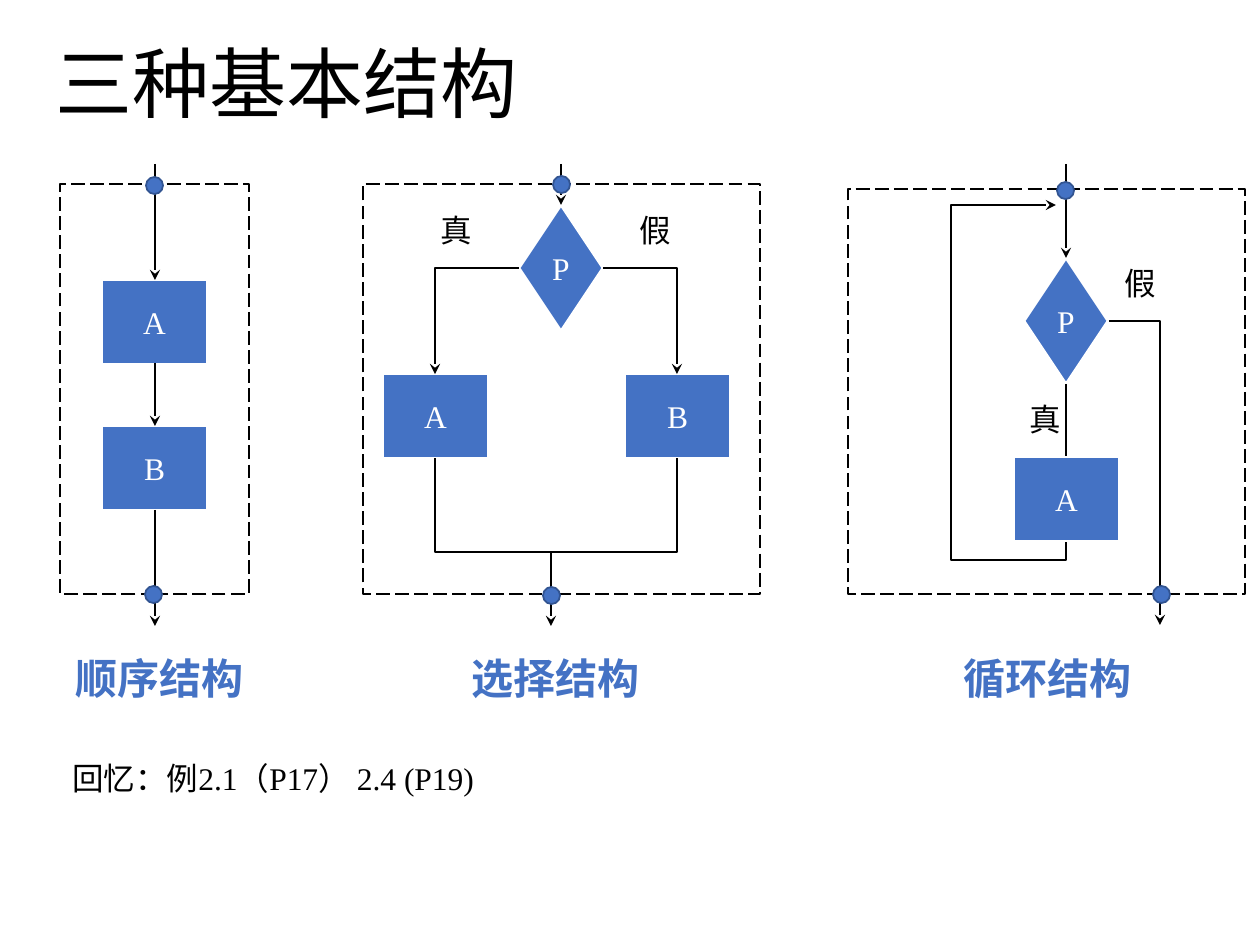
import pptx
import pptx.dml.color
import pptx.enum.dml
import pptx.enum.shapes
import pptx.enum.text
import pptx.oxml
import pptx.oxml.ns
import pptx.util

EMU_PER_PIXEL = 914400 / 126
BLACK = pptx.dml.color.RGBColor(0x00, 0x00, 0x00)
WHITE = pptx.dml.color.RGBColor(0xFF, 0xFF, 0xFF)
BLUE = pptx.dml.color.RGBColor(0x44, 0x72, 0xC4)
DARK_BLUE = pptx.dml.color.RGBColor(0x32, 0x54, 0x91)
SERIF = "Times New Roman"

SHAPES = pptx.enum.shapes.MSO_SHAPE
ALIGN = pptx.enum.text.PP_ALIGN
ANCHOR = pptx.enum.text.MSO_ANCHOR
AUTO_SIZE = pptx.enum.text.MSO_AUTO_SIZE


def emu(pixels):
    return pptx.util.Emu(round(pixels * EMU_PER_PIXEL))


def write(shape, text, size, font, color, bold=False, align=ALIGN.CENTER):
    paragraph = shape.text_frame.paragraphs[0]
    paragraph.alignment = align
    run = paragraph.add_run()
    run.text = text
    run.font.size = pptx.util.Pt(size)
    run.font.name = font
    run.font.bold = bold
    run.font.color.rgb = color
    return paragraph


def set_line(shape, color, width=1, arrow=False):
    shape.line.color.rgb = color
    shape.line.width = pptx.util.Pt(width)
    if arrow:
        tail = pptx.oxml.parse_xml(
            '<a:tailEnd %s type="stealth"/>' % pptx.oxml.ns.nsdecls("a"))
        shape.line._get_or_add_ln().append(tail)


class Region:
    """Places parts relative to the top left corner of a box."""

    def __init__(self, slide, left, top):
        self.shapes = slide.shapes
        self.left = left
        self.top = top

    def point(self, x, y):
        return emu(self.left + x), emu(self.top + y)

    def add_preset(self, preset, x, y, width, height):
        shape = self.shapes.add_shape(
            preset, *self.point(x, y), emu(width), emu(height))
        shape.shadow.inherit = False
        return shape

    def frame(self, width, height):
        shape = self.add_preset(SHAPES.RECTANGLE, 0, 0, width, height)
        shape.fill.background()
        set_line(shape, BLACK)
        shape.line.dash_style = pptx.enum.dml.MSO_LINE.LONG_DASH

    def block(self, text, x, y, preset=SHAPES.RECTANGLE, width=105, height=84):
        shape = self.add_preset(preset, x, y, width, height)
        shape.fill.solid()
        shape.fill.fore_color.rgb = BLUE
        set_line(shape, WHITE, 1.5)
        shape.text_frame.word_wrap = False
        shape.text_frame.vertical_anchor = ANCHOR.MIDDLE
        write(shape, text, 18, SERIF, WHITE)

    def decision(self, x, y):
        self.block("P", x, y, SHAPES.DIAMOND, 84, 126)

    def node(self, x, y):
        shape = self.add_preset(SHAPES.FLOWCHART_CONNECTOR, x, y, 17, 17)
        shape.fill.solid()
        shape.fill.fore_color.rgb = BLUE
        set_line(shape, DARK_BLUE)

    def vertical(self, x, start, end, arrow=True):
        connector = self.shapes.add_connector(
            pptx.enum.shapes.MSO_CONNECTOR.STRAIGHT,
            *self.point(x, start), *self.point(x, end))
        set_line(connector, BLACK, arrow=arrow)
        connector._element.spPr.append(
            pptx.oxml.parse_xml("<a:effectLst %s/>" % pptx.oxml.ns.nsdecls("a")))

    def route(self, points, arrow=True):
        corners = [self.point(x, y) for x, y in points]
        builder = self.shapes.build_freeform(*corners[0], scale=1.0)
        builder.add_line_segments(corners[1:], close=False)
        shape = builder.convert_to_shape()
        shape.shadow.inherit = False
        shape.fill.background()
        set_line(shape, BLACK, arrow=arrow)

    def label(self, text, x, y, width=63, height=50, size=18, font=SERIF,
              color=BLACK, bold=False, align=ALIGN.CENTER):
        box = self.shapes.add_textbox(*self.point(x, y), emu(width), emu(height))
        box.text_frame.word_wrap = True
        box.text_frame.auto_size = AUTO_SIZE.SHAPE_TO_FIT_TEXT
        write(box, text, size, font, color, bold, align)

    def caption(self, text, x, y):
        self.label(text, x, y, 242, 64, 24, "Arial", BLUE, True)


def add_title(slide, left, top, width, height):
    title = slide.shapes.title
    title.left, title.top = emu(left), emu(top)
    title.width, title.height = emu(width), emu(height)
    title.text_frame.auto_size = AUTO_SIZE.NONE
    title.text_frame.vertical_anchor = ANCHOR.MIDDLE
    paragraph = write(title, "三种基本结构", 44, "Calibri", BLACK, align=ALIGN.LEFT)
    paragraph.line_spacing = 0.9


def add_sequence(slide, left, top, width, height):
    region = Region(slide, left, top)
    axis = 95
    region.frame(width, height)
    for text, y in (("A", 96), ("B", 242)):
        region.block(text, axis - 53, y)
    for start, end in ((-20, 96), (179, 242), (326, height + 32)):
        region.vertical(axis, start, end)
    region.node(86, -7)
    region.node(85, 402)
    region.caption("顺序结构", -21, height + 52)


def add_selection(slide, left, top, width, height):
    region = Region(slide, left, top)
    left_axis, right_axis = 72, 314
    region.frame(width, height)
    region.decision(156, 21)
    region.vertical(198, -20, 21)
    # Two branches and their blocks
    for text, answer, answer_x, corner, axis in (
            ("A", "真", 62, 156, left_axis), ("B", "假", 261, 240, right_axis)):
        region.block(text, axis - 52, 190)
        region.label(answer, answer_x, 21)
        region.route([(corner, 84), (axis, 84), (axis, 190)])
    # Merge and exit
    region.route([(left_axis, 274), (left_axis, 368),
                  (right_axis, 368), (right_axis, 274)], arrow=False)
    region.vertical(188, 368, height + 32)
    region.node(190, -8)
    region.node(180, 403)
    region.caption("选择结构", 72, height + 52)


def add_loop(slide, left, top, width, height):
    region = Region(slide, left, top)
    axis, exit_axis, return_axis = 218, 312, 103
    region.frame(width, height)
    region.decision(axis - 42, 69)
    region.vertical(axis, -25, 69)
    region.vertical(axis, 195, 268, arrow=False)
    # Exit and return routes
    region.route([(261, 132), (exit_axis, 132), (exit_axis, height + 31)])
    region.route([(axis, 330), (axis, 371), (return_axis, 371),
                  (return_axis, 16), (208, 16)])
    region.label("假", 261, 69)
    region.label("真", 166, 205)
    region.block("A", axis - 52, 268)
    region.node(209, -7)
    region.node(305, 397)
    region.caption("循环结构", 79, height + 52)


def add_note(slide, left, top, width, height):
    Region(slide, left, top).label(
        "回忆：例2.1（P17） 2.4 (P19)", 0, 0, width, height, align=ALIGN.LEFT)


presentation = pptx.Presentation()
presentation.slide_width = emu(1260)
presentation.slide_height = emu(945)
slide = presentation.slides.add_slide(presentation.slide_layouts[5])

add_title(slide, 43, 15, 1086, 145)
add_sequence(slide, 60, 184, 189, 410)
add_selection(slide, 363, 184, 397, 410)
add_loop(slide, 848, 189, 397, 405)
add_note(slide, 60, 753, 630, 50)

presentation.save("out.pptx")
